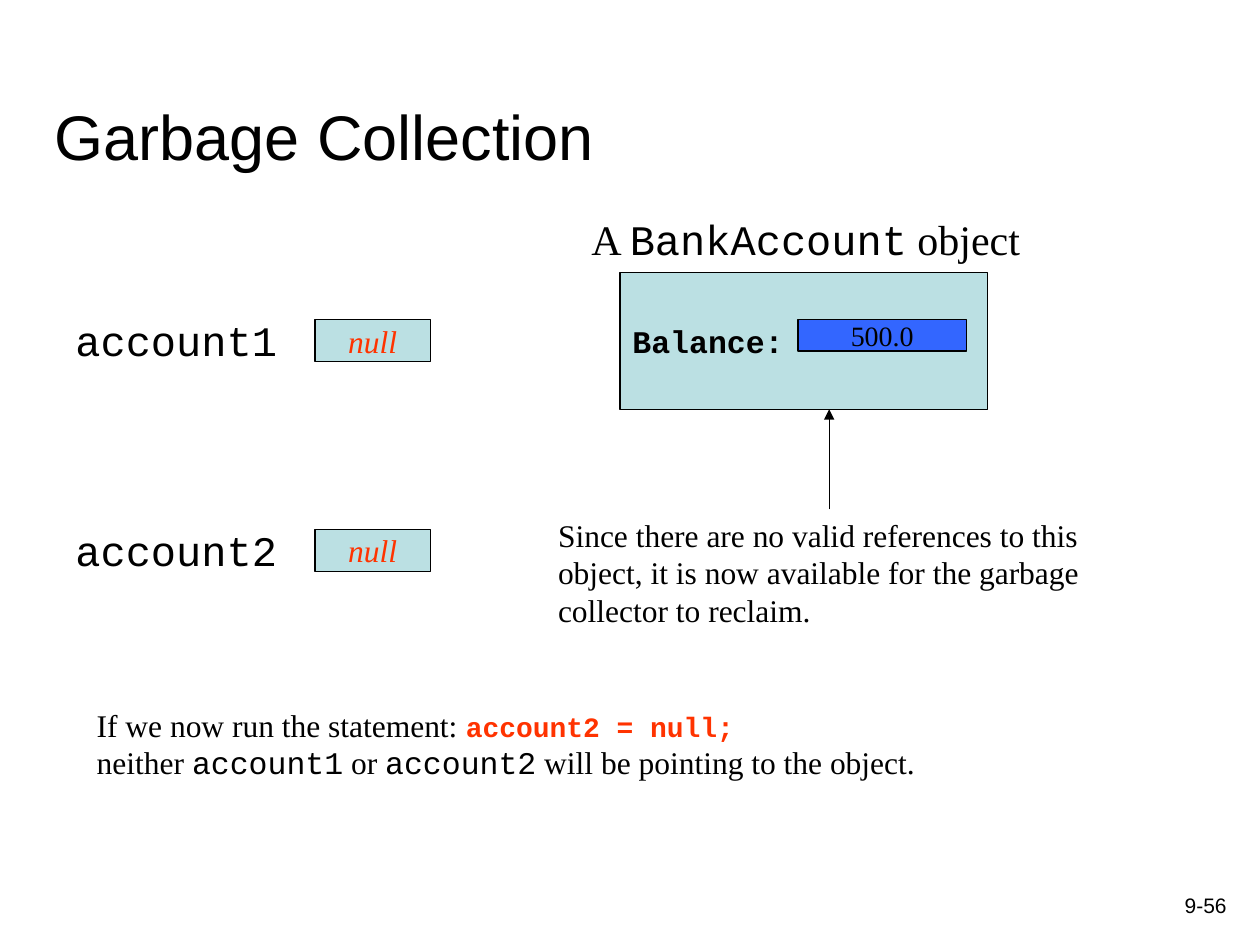
from dataclasses import dataclass

from lxml.etree import SubElement
from pptx import Presentation
from pptx.dml.color import RGBColor
from pptx.enum.shapes import MSO_CONNECTOR, MSO_SHAPE
from pptx.enum.text import MSO_ANCHOR, MSO_AUTO_SIZE, PP_ALIGN
from pptx.oxml.ns import qn
from pptx.util import Cm, Pt


@dataclass(frozen=True)
class Theme:
    sans: str = "Arial"
    serif: str = "Times New Roman"
    code: str = "Courier New"
    black: RGBColor = RGBColor(0x00, 0x00, 0x00)
    red: RGBColor = RGBColor(0xFF, 0x33, 0x00)
    pale: RGBColor = RGBColor(0xBB, 0xE0, 0xE3)
    blue: RGBColor = RGBColor(0x33, 0x66, 0xFF)
    title: int = 36
    label: int = 24
    body: int = 18
    small: int = 16
    footer: int = 12
    line: float = 0.75


THEME = Theme()

# Text styles: font, size, colour, bold, italic
STYLES = {
    "title": (THEME.sans, THEME.title, THEME.black, False, False),
    "footer": (THEME.sans, THEME.footer, THEME.black, False, False),
    "label": (THEME.serif, THEME.label, THEME.black, False, False),
    "code label": (THEME.code, THEME.label, THEME.black, False, False),
    "body": (THEME.serif, THEME.body, THEME.black, False, False),
    "code": (THEME.code, THEME.body, THEME.black, False, False),
    "field": (THEME.code, THEME.body, THEME.black, True, False),
    "statement": (THEME.code, THEME.small, THEME.red, True, False),
    "null": (THEME.serif, THEME.body, THEME.red, False, True),
    "value": (THEME.serif, THEME.small, THEME.black, False, False),
}

# Content: paragraphs are lists of (text, style) runs
TITLE = [[("Garbage Collection", "title")]]
PAGE_NUMBER = [[("9-56", "footer")]]
VARIABLES = [("account1", "null"), ("account2", "null")]
OBJECT_CAPTION = [[("A ", "label"), ("BankAccount", "code label"), (" object", "label")]]
FIELD = [[("Balance:", "field")]]
BALANCE = [[("500.0", "value")]]
NOTE = [
    [("Since there are no valid references to this", "body")],
    [("object, it is now available for the garbage", "body")],
    [("collector to reclaim.", "body")],
]
EXPLANATION = [
    [("If we now run the statement: ", "body"), ("account2 = null;", "statement")],
    [("neither ", "body"), ("account1", "code"), (" or ", "body"), ("account2", "code"),
     (" will be pointing to the object.", "body")],
]

# Layout in centimetres: left, top, width, height
TITLE_AREA = (0.85, 0.85, 23.92, 2.77)
PAGE_AREA = (19.69, 17.36, 5.29, 1.27)
CAPTION_AREA = (11.67, 4.17, 9.2, 1.27)
OBJECT_AREA = (12.5, 5.5, 7.41, 2.75)
BALANCE_AREA = (16.09, 6.44, 3.39, 0.64)
NOTE_AREA = (11, 10.27, 11.43, 2.54)
EXPLANATION_AREA = (1.7, 14.1, 17, 1.78)
VARIABLE_TOP, VARIABLE_STEP = 6.22, 4.23


def write(shape, paragraphs, align=PP_ALIGN.LEFT, anchor=MSO_ANCHOR.TOP):
    frame = shape.text_frame
    frame.word_wrap = True
    frame.auto_size = MSO_AUTO_SIZE.NONE
    frame.vertical_anchor = anchor
    for index, runs in enumerate(paragraphs):
        paragraph = frame.add_paragraph() if index else frame.paragraphs[0]
        paragraph.alignment = align
        for text, style in runs:
            run = paragraph.add_run()
            run.text = text
            font = run.font
            font.name, size, font.color.rgb, font.bold, font.italic = STYLES[style]
            font.size = Pt(size)


def add_text(slide, area, paragraphs, **layout):
    box = slide.shapes.add_textbox(*map(Cm, area))
    write(box, paragraphs, **layout)
    return box


def add_box(slide, area, fill, paragraphs, align=PP_ALIGN.CENTER):
    box = slide.shapes.add_shape(MSO_SHAPE.RECTANGLE, *map(Cm, area))
    box.shadow.inherit = False
    box.fill.solid()
    box.fill.fore_color.rgb = fill
    box.line.color.rgb = THEME.black
    box.line.width = Pt(THEME.line)
    write(box, paragraphs, align, MSO_ANCHOR.MIDDLE)
    return box


def add_arrow_up(slide, source, target):
    """Vertical arrow from the top middle of source to the bottom of target."""
    x = source.left + source.width // 2
    arrow = slide.shapes.add_connector(
        MSO_CONNECTOR.STRAIGHT, x, source.top, x, target.top + target.height)
    arrow.begin_connect(source, 0)
    arrow.line.color.rgb = THEME.black
    arrow.line.width = Pt(THEME.line)
    SubElement(arrow.line._get_or_add_ln(), qn("a:tailEnd"), type="triangle")
    SubElement(arrow._element.spPr, qn("a:effectLst"))


def main():
    presentation = Presentation()
    presentation.slide_width, presentation.slide_height = Cm(25.4), Cm(19.05)
    slide = presentation.slides.add_slide(presentation.slide_layouts[5])

    # Title and page number
    title = slide.shapes.title
    title.left, title.top, title.width, title.height = map(Cm, TITLE_AREA)
    write(title, TITLE, anchor=MSO_ANCHOR.BOTTOM)
    add_text(slide, PAGE_AREA, PAGE_NUMBER, align=PP_ALIGN.RIGHT, anchor=MSO_ANCHOR.BOTTOM)

    # Variables and their values
    for index, (name, value) in enumerate(VARIABLES):
        top = VARIABLE_TOP + index * VARIABLE_STEP
        add_text(slide, (1.27, top, 4.66, 1.27), [[(name, "code label")]])
        add_box(slide, (6.35, top + 0.22, 2.33, 0.85), THEME.pale, [[(value, "null")]])

    # Bank account object
    add_text(slide, CAPTION_AREA, OBJECT_CAPTION)
    account = add_box(slide, OBJECT_AREA, THEME.pale, FIELD, PP_ALIGN.LEFT)
    add_box(slide, BALANCE_AREA, THEME.blue, BALANCE)

    # Note pointing at the object, and explanation below
    note = add_text(slide, NOTE_AREA, NOTE)
    add_arrow_up(slide, note, account)
    add_text(slide, EXPLANATION_AREA, EXPLANATION)

    presentation.save("out.pptx")


if __name__ == "__main__":
    main()
